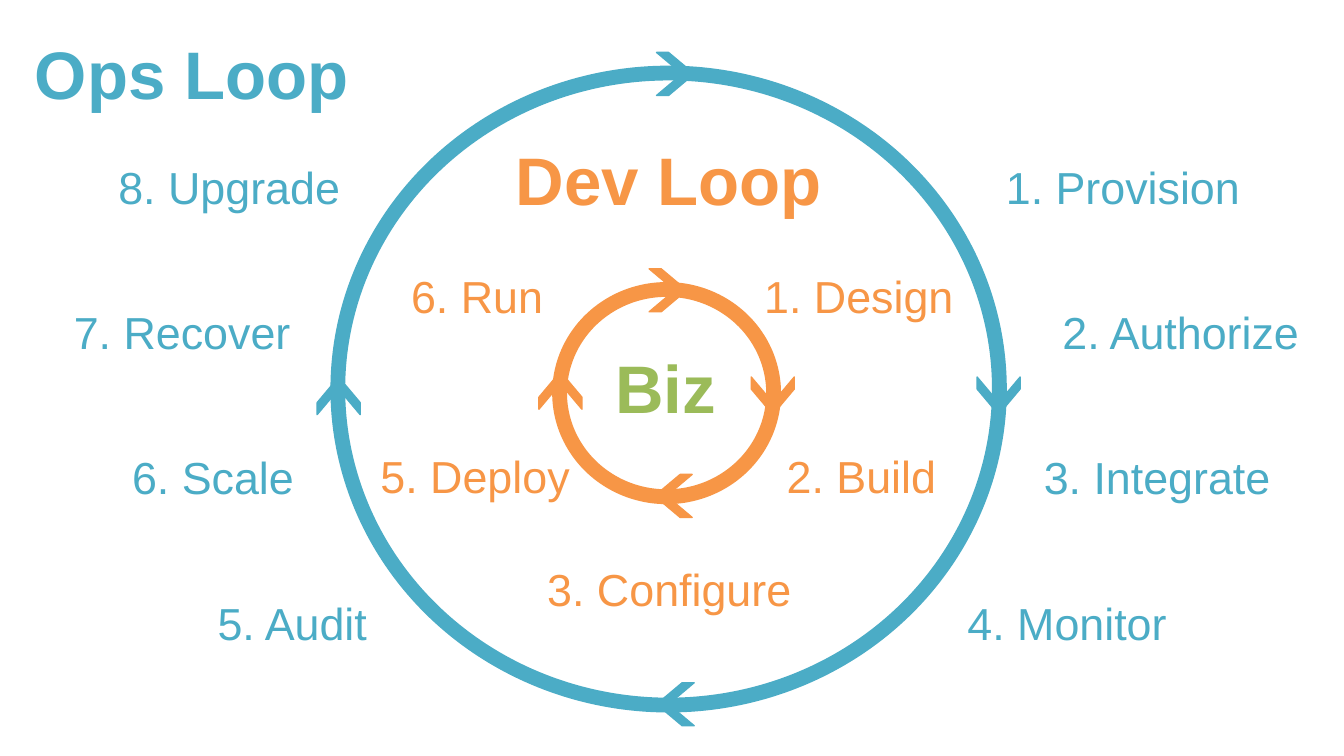
from dataclasses import dataclass

from pptx import Presentation
from pptx import util as u
from pptx.dml.color import RGBColor
from pptx.enum import shapes, text

PX = 9144  # EMU per px, 100 px to the inch


@dataclass(frozen=True)
class Theme:
    font: str = "Arial"
    ops: str = "4BACC6"
    ops_fill: str = "4F81BD"
    dev: str = "F79646"
    biz: str = "9BBB59"
    heading: int = 36
    step: int = 24
    ring_line: float = 4.5
    arrow_line: float = 0.75


THEME = Theme()

OPS_RING = (249, 52, 497, 475)
DEV_RING = (414, 213, 164, 159)
STEP_HEIGHT = 60
ROW_TOP, ROW_PITCH = 55, 108

# Step name, left and width, one row each, measured from the ring's left edge
OPS_RIGHT = [("1. Provision", 477, 219), ("2. Authorize", 529, 201),
             ("3. Integrate", 509, 206), ("4. Monitor", 447, 196)]
OPS_LEFT = [("8. Upgrade", -176, 195), ("7. Recover", -206, 185),
            ("6. Scale", -164, 147), ("5. Audit", -113, 163)]
OPS_STEPS = [(name, left, ROW_TOP + row * ROW_PITCH, width)
             for side in (OPS_RIGHT, OPS_LEFT)
             for row, (name, left, width) in enumerate(side)]
DEV_STEPS = [("1. Design", 144, -25, 162), ("2. Build", 149, 109, 156),
             ("3. Configure", -21, 193, 210), ("5. Deploy", -143, 109, 165),
             ("6. Run", -124, -25, 130)]

TOP_LEFT = {"align": text.PP_ALIGN.LEFT, "anchor": text.MSO_ANCHOR.TOP,
            "spacing": 1.0}


def emu(*lengths):
    return [round(length * PX) for length in lengths]


def within(box, left, top, width, height):
    return box[0] + left, box[1] + top, width, height


def write(shape, words, size, color, bold=False, spacing=1.1,
          align=text.PP_ALIGN.CENTER, anchor=text.MSO_ANCHOR.MIDDLE):
    frame = shape.text_frame
    frame.text = words
    frame.word_wrap = False
    frame.auto_size = text.MSO_AUTO_SIZE.NONE
    frame.vertical_anchor = anchor
    para = frame.paragraphs[0]
    para.alignment = align
    para.line_spacing = spacing
    para.font.name = THEME.font
    para.font.size = u.Pt(size)
    para.font.bold = bold
    para.font.color.rgb = RGBColor.from_string(color)


def add_label(page, box, words, size, color, **style):
    write(page.shapes.add_textbox(*emu(*box)), words, size, color, **style)


def add_outlined(page, kind, box, adjustment, fill, line, weight):
    shape = page.shapes.add_shape(kind, *emu(*box))
    shape.adjustments[0] = adjustment
    shape.shadow.inherit = False
    shape.fill.solid()
    shape.fill.fore_color.rgb = RGBColor.from_string(fill)
    shape.line.color.rgb = RGBColor.from_string(line)
    shape.line.width = u.Pt(weight)
    return shape


def add_arrows(page, box, color, shifts):
    """Put clockwise chevrons on a ring: top, right, bottom, left, each shifted along it."""
    width, height, inset = 28, 32, 3
    _, _, wide, high = box
    top, right, bottom, left = shifts
    centers = [(wide / 2 + top, inset), (wide - inset, high / 2 + right),
               (wide / 2 + bottom, high - inset), (inset, high / 2 + left)]
    for quarter, (x, y) in enumerate(centers):
        place = within(box, x - width / 2, y - height / 2, width, height)
        arrow = add_outlined(page, shapes.MSO_SHAPE.CHEVRON, place, 0.68,
                             color, color, THEME.arrow_line)
        arrow.rotation = 90 * quarter


def add_loop(page, box, steps, fill, color, thickness, shifts):
    add_outlined(page, shapes.MSO_SHAPE.DONUT, box, thickness,
                 fill, color, THEME.ring_line)
    add_arrows(page, box, color, shifts)
    for name, left, top, width in steps:
        add_label(page, within(box, left, top, width, STEP_HEIGHT),
                  name, THEME.step, color)


def add_title(page, box):
    title = page.shapes.title
    title.left, title.top, title.width, title.height = emu(*box)
    write(title, "Ops Loop", THEME.heading, THEME.ops, bold=True, **TOP_LEFT)


def add_headings(page, box):
    add_label(page, within(box, -52, -110, 271, 54), "Dev Loop",
              THEME.heading, THEME.dev, bold=True)
    add_label(page, within(box, 34, 40, 96, 71), "Biz",
              THEME.heading, THEME.biz, bold=True, **TOP_LEFT)


def main():
    deck = Presentation()
    deck.slide_width = u.Emu(1000 * PX)
    deck.slide_height = u.Emu(deck.slide_width * 9 // 16)
    page = deck.slides.add_slide(deck.slide_layouts[5])
    add_title(page, (16, 19, 346, 52))
    add_loop(page, DEV_RING, DEV_STEPS, THEME.dev, THEME.dev,
             0.03, (1, 2, 5, -2))
    add_loop(page, OPS_RING, OPS_STEPS, THEME.ops_fill, THEME.ops,
             0.01, (5, 5, 5, 5))
    add_headings(page, DEV_RING)
    deck.save("out.pptx")


if __name__ == "__main__":
    main()
